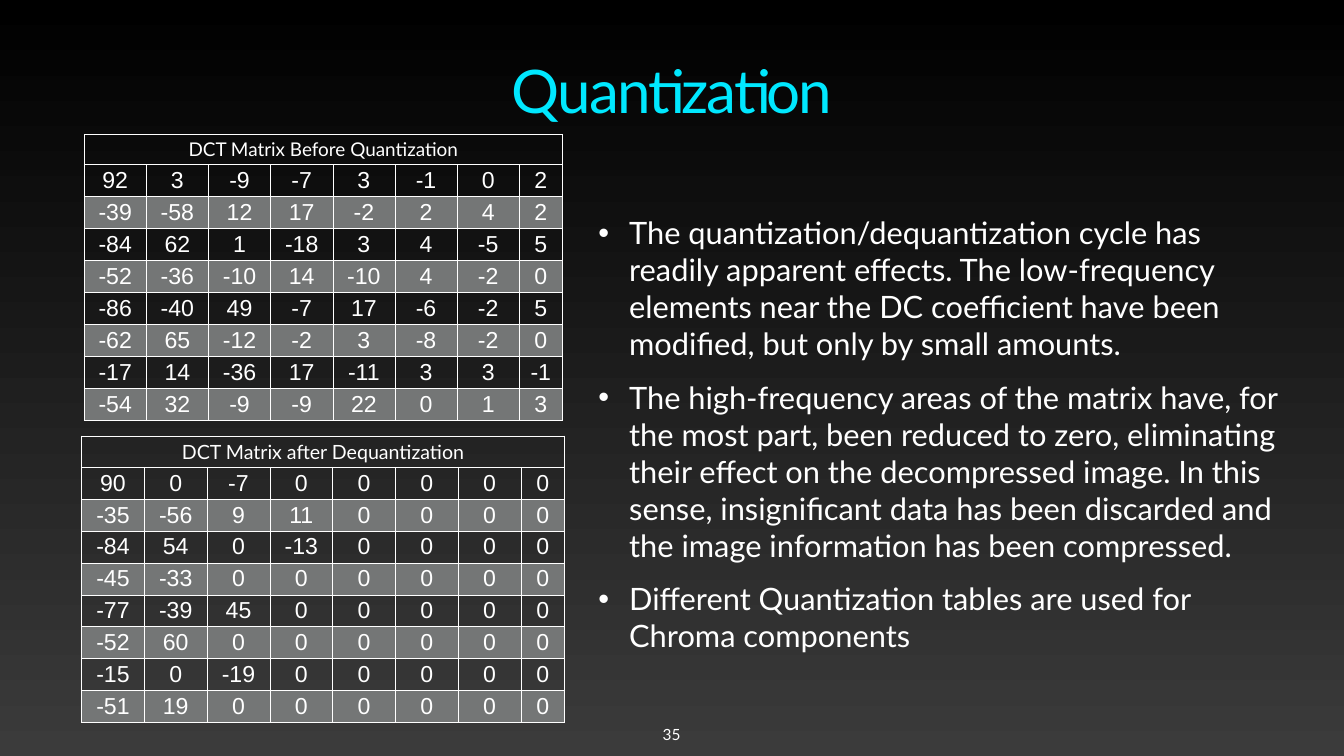
from pptx import Presentation
from pptx.dml.color import RGBColor as RGB
from pptx.enum.text import MSO_ANCHOR as Anchor, MSO_AUTO_SIZE as Auto, PP_ALIGN as Align
from pptx.oxml.xmlchemy import OxmlElement as Elem
from pptx.util import Pt

BLACK = RGB(0x00, 0x00, 0x00)
DARK = RGB(0x3B, 0x3B, 0x3B)
CYAN = RGB(0x00, 0xE8, 0xFF)
PINK = RGB(0xFF, 0x00, 0xF7)
WHITE = RGB(0xFF, 0xFF, 0xFF)
GREY = RGB(0x74, 0x76, 0x76)

PAD = 4.5
ROW = 45.6
SHARES = [0.13] * 7 + [0.09]
SIDES = ("left", "top", "right", "bottom")

BEFORE = [
    [92, 3, -9, -7, 3, -1, 0, 2],
    [-39, -58, 12, 17, -2, 2, 4, 2],
    [-84, 62, 1, -18, 3, 4, -5, 5],
    [-52, -36, -10, 14, -10, 4, -2, 0],
    [-86, -40, 49, -7, 17, -6, -2, 5],
    [-62, 65, -12, -2, 3, -8, -2, 0],
    [-17, 14, -36, 17, -11, 3, 3, -1],
    [-54, 32, -9, -9, 22, 0, 1, 3],
]
AFTER = [
    [90, 0, -7, 0, 0, 0, 0, 0],
    [-35, -56, 9, 11, 0, 0, 0, 0],
    [-84, 54, 0, -13, 0, 0, 0, 0],
    [-45, -33, 0, 0, 0, 0, 0, 0],
    [-77, -39, 45, 0, 0, 0, 0, 0],
    [-52, 60, 0, 0, 0, 0, 0, 0],
    [-15, 0, -19, 0, 0, 0, 0, 0],
    [-51, 19, 0, 0, 0, 0, 0, 0],
]
POINTS = [
    "The quantization/dequantization cycle has readily apparent effects. "
    "The low-frequency elements near the DC coefficient have been modified, "
    "but only by small amounts.",
    "The high-frequency areas of the matrix have, for the most part, been "
    "reduced to zero, eliminating their effect on the decompressed image. "
    "In this sense, insignificant data has been discarded and the image "
    "information has been compressed.",
    "Different Quantization tables are used for Chroma components",
]


def apply(item, form):
    """Set each attribute of an item from a dict of values."""
    for name, value in form.items():
        setattr(item, name, value)


def blend(fill, first, last, angle):
    """Fill with a two-colour gradient."""
    fill.gradient()
    fill.gradient_angle = angle
    for stop, tone in zip(fill.gradient_stops, (first, last)):
        stop.color.rgb = tone


def write(para, text, size, name="Lato", align=Align.CENTER):
    """Put one white run in a paragraph and return it."""
    para.alignment = align
    run = para.add_run()
    run.text = text
    apply(run.font, {"name": name, "size": Pt(size)})
    run.font.color.rgb = WHITE
    return run


def place(shape, left, top, width, height, anchor, wrap=True):
    """Move a text shape, set up its frame and return the frame."""
    apply(shape, {"left": Pt(left), "top": Pt(top),
                  "width": Pt(width), "height": Pt(height)})
    frame = shape.text_frame
    apply(frame, {"auto_size": Auto.NONE, "word_wrap": wrap, "vertical_anchor": anchor})
    apply(frame, {f"margin_{side}": Pt(PAD) for side in SIDES})
    return frame


def bullet(para):
    """Give a paragraph a white hanging bullet."""
    props = para._p.get_or_add_pPr()
    props.set("marL", str(Pt(44)))
    props.set("indent", str(Pt(-44)))
    tone = Elem("a:buClr")
    rgb = Elem("a:srgbClr")
    rgb.set("val", str(WHITE))
    tone.append(rgb)
    font = Elem("a:buFont")
    font.set("typeface", "Arial")
    mark = Elem("a:buChar")
    mark.set("char", "•")
    props.extend([tone, font, mark])


def border(cell):
    """Draw a thin white line on each side of a cell."""
    props = cell._tc.get_or_add_tcPr()
    for side in "LRTB":
        line = Elem(f"a:ln{side}")
        line.set("w", str(Pt(1)))
        fill = Elem("a:solidFill")
        rgb = Elem("a:srgbClr")
        rgb.set("val", str(WHITE))
        fill.append(rgb)
        line.append(fill)
        props.append(line)


def style(cell, pad, shaded):
    """Set the frame, border and fill of a cell."""
    apply(cell, {f"margin_{side}": Pt(pad) for side in SIDES})
    cell.vertical_anchor = Anchor.MIDDLE
    border(cell)
    if shaded:
        cell.fill.solid()
        cell.fill.fore_color.rgb = GREY
    else:
        cell.fill.background()


def matrix(slide, title, data, left, top, width, head, size):
    """Add a titled table of numbers with every second row shaded."""
    rows, cols = len(data) + 1, len(SHARES)
    frame = slide.shapes.add_table(rows, cols, Pt(left), Pt(top), Pt(width),
                                   Pt(head + ROW * len(data)))
    table = frame.table
    apply(table, {"first_row": False, "horz_banding": False})
    for col, share in zip(table.columns, SHARES):
        col.width = Pt(width * share)
    for i, row in enumerate(table.rows):
        row.height = Pt(ROW if i else head)
        for j, cell in enumerate(row.cells):
            style(cell, 0 if i else PAD, i and i % 2 == 0)
            if i:
                write(cell.text_frame.paragraphs[0], str(data[i - 1][j]), 33, "Arial")
    table.cell(0, 0).merge(table.cell(0, cols - 1))
    write(table.cell(0, 0).text_frame.paragraphs[0], title, size)


def heading(slide, text):
    """Fill the title placeholder with gradient text."""
    frame = place(slide.shapes.title, 100, 62.6, 1720, 122.4, Anchor.BOTTOM)
    para = frame.paragraphs[0]
    para.line_spacing = 0.9
    run = write(para, text, 85.8)
    run._r.get_or_add_rPr().set("spc", "-260")
    blend(run.font.fill, CYAN, PINK, 294)


def points(slide, texts):
    """Fill the body placeholder with a bulleted list."""
    frame = place(slide.placeholders[1], 850.3, 244, 1003, 751.7, Anchor.MIDDLE)
    for i, text in enumerate(texts):
        para = frame.add_paragraph() if i else frame.paragraphs[0]
        bullet(para)
        para.space_before = Pt(24 if i else 0)
        write(para, text, 44, align=Align.LEFT)


def number(slide, text):
    """Add the page number at the foot."""
    box = slide.shapes.add_textbox(0, 0, 0, 0)
    frame = place(box, 941.8, 1030.3, 35.3, 36.7, Anchor.BOTTOM, False)
    write(frame.paragraphs[0], text, 22)


def main():
    """Build the slide and save it."""
    deck = Presentation()
    apply(deck, {"slide_width": Pt(1920), "slide_height": Pt(1080)})
    slide = deck.slides.add_slide(deck.slide_layouts[1])
    blend(slide.background.fill, BLACK, DARK, 270)
    heading(slide, "Quantization")
    matrix(slide, "DCT Matrix after Dequantization", AFTER, 116.6, 622.8, 689.8, 44.6, 28)
    matrix(slide, "DCT Matrix Before Quantization", BEFORE, 120.2, 191.5, 683.3, 43.9, 27)
    points(slide, POINTS)
    number(slide, "35")
    deck.save("out.pptx")


if __name__ == "__main__":
    main()
